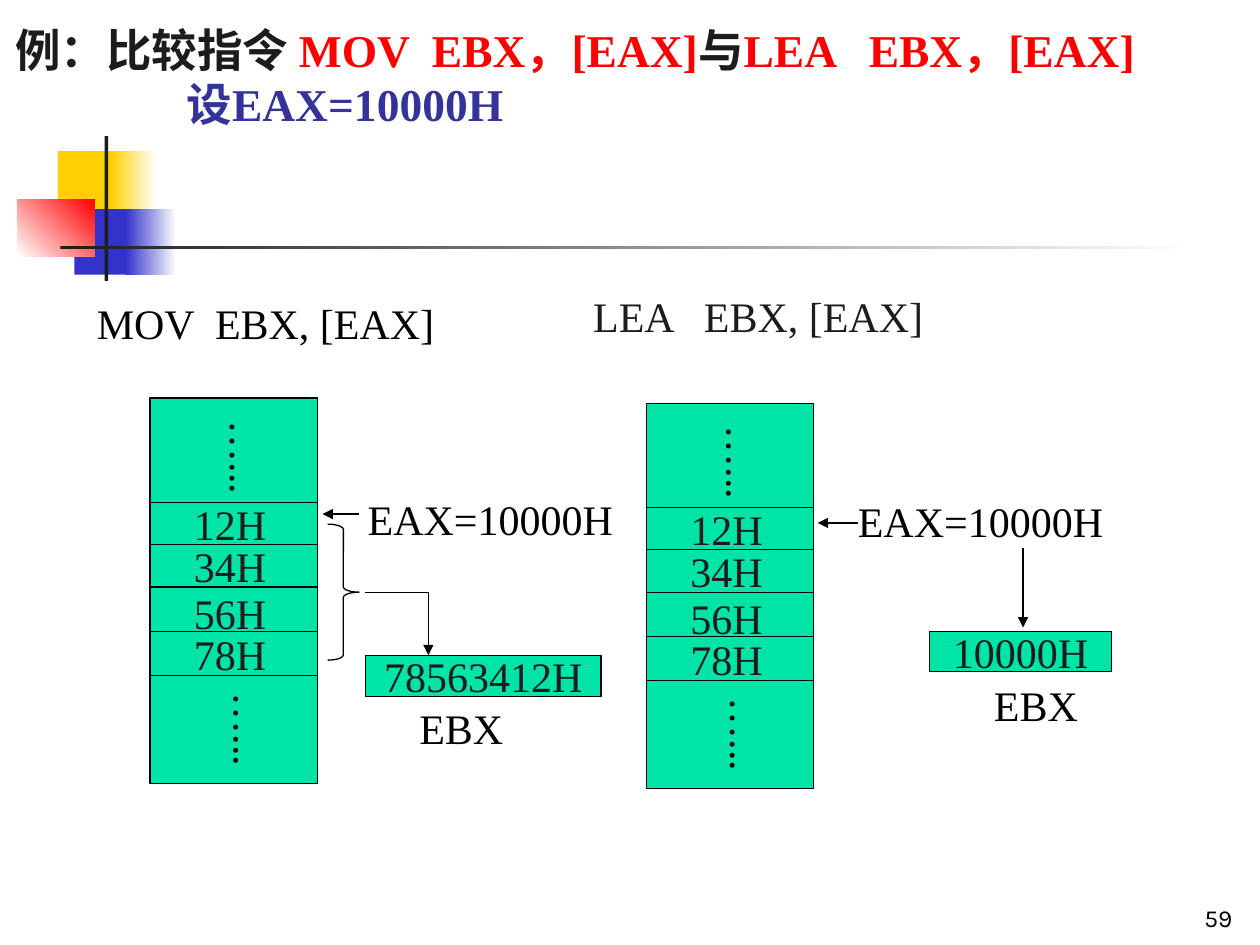
from dataclasses import dataclass

from lxml import etree
from pptx import Presentation
from pptx.dml.color import RGBColor
from pptx.enum.shapes import MSO_CONNECTOR, MSO_SHAPE
from pptx.enum.text import MSO_ANCHOR, MSO_AUTO_SIZE, PP_ALIGN
from pptx.oxml.ns import qn
from pptx.util import Inches, Pt

RECTANGLE = MSO_SHAPE.RECTANGLE
RIGHT_BRACE = MSO_SHAPE.RIGHT_BRACE
STRAIGHT = MSO_CONNECTOR.STRAIGHT
LEFT, CENTER, RIGHT = PP_ALIGN.LEFT, PP_ALIGN.CENTER, PP_ALIGN.RIGHT
MIDDLE, BOTTOM = MSO_ANCHOR.MIDDLE, MSO_ANCHOR.BOTTOM


@dataclass(frozen=True)
class Theme:
    black: RGBColor = RGBColor.from_string("000000")
    white: RGBColor = RGBColor.from_string("FFFFFF")
    ink: RGBColor = RGBColor.from_string("1C1C1C")
    red: RGBColor = RGBColor.from_string("FF0000")
    navy: RGBColor = RGBColor.from_string("333399")
    blue: RGBColor = RGBColor.from_string("3333CC")
    yellow: RGBColor = RGBColor.from_string("FFCF01")
    memory: RGBColor = RGBColor.from_string("00E4A8")
    font: str = "Times New Roman"
    number_font: str = "Karla"
    title_size: Pt = Pt(26)
    body_size: Pt = Pt(24)
    number_size: Pt = Pt(14)
    line_width: Pt = Pt(0.75)


theme = Theme()


def format_run(run, color, size=theme.body_size, font=theme.font, bold=False):
    run.font.name = font
    run.font.size = size
    run.font.bold = bold
    run.font.color.rgb = color


def add_label(text, left, top, width, height, color=theme.black):
    box = slide.shapes.add_textbox(Inches(left), Inches(top), Inches(width), Inches(height))
    box.text_frame.word_wrap = True
    box.text_frame.text = text
    format_run(box.text_frame.paragraphs[0].runs[0], color)
    return box.text_frame


prs = Presentation()
prs.slide_width, prs.slide_height = Inches(10), Inches(7.5)
slide = prs.slides.add_slide(prs.slide_layouts[5])

# Corner ornament: left, top, width, height, first colour, last colour, angle
ornament = [
    (0.46, 1.2, 0.48, 0.52, theme.yellow, None, 0),
    (0.88, 1.2, 0.36, 0.52, theme.yellow, theme.white, 0),
    (0.59, 1.66, 0.46, 0.52, theme.blue, None, 0),
    (1, 1.66, 0.4, 0.52, theme.blue, theme.white, 0),
    (0.14, 1.58, 0.61, 0.46, theme.white, theme.red, 45),
    (0.83, 1.08, 0.03, 1.15, theme.ink, None, 0),
    (0.48, 1.95, 9, 0.03, theme.ink, theme.white, 0),
]
for *place, first_color, last_color, angle in ornament:
    block = slide.shapes.add_shape(RECTANGLE, *map(Inches, place))
    block.shadow.inherit = False
    block.line.fill.background()
    if last_color is None:
        block.fill.solid()
        block.fill.fore_color.rgb = first_color
    else:
        block.fill.gradient()
        block.fill.gradient_angle = angle
        for stop, color in zip(block.fill.gradient_stops, (first_color, last_color)):
            stop.color.rgb = color

# Title
title = slide.shapes.title
title.left, title.top = Inches(0.02), Inches(0.11)
title.width, title.height = Inches(9.96), Inches(0.98)
heading = title.text_frame
heading.auto_size = MSO_AUTO_SIZE.NONE
heading.word_wrap = True
heading.vertical_anchor = BOTTOM
title_lines = [
    [
        ("例：比较指令 ", theme.ink),
        ("MOV  EBX，[EAX]", theme.red),
        ("与", theme.ink),
        ("LEA   EBX，[EAX]", theme.red),
    ],
    [("设EAX=10000H", theme.navy)],
]
for index, pieces in enumerate(title_lines):
    paragraph = heading.add_paragraph() if index else heading.paragraphs[0]
    paragraph.alignment = LEFT
    paragraph.space_before = Pt(0)
    for text, color in pieces:
        run = paragraph.add_run()
        run.text = text
        format_run(run, color, theme.title_size, bold=True)
paragraph._p.get_or_add_pPr().set("marL", str(Inches(1.36)))

# Memory columns and result registers
columns = [(1.19, 3.16), (5.13, 3.2)]
column_width, column_height = 1.33, 3.06
row_lines = [0.83, 1.16, 1.5, 1.85, 2.2]
memory_bytes = [("12H", 0.75), ("34H", 1.08), ("56H", 1.45), ("78H", 1.78)]
filled_boxes = [(left, top, column_width, column_height, "") for left, top in columns]
filled_boxes += [
    (2.9, 5.2, 1.87, 0.33, "78563412H"),
    (7.38, 5.01, 1.44, 0.32, "10000H"),
]
for *place, value in filled_boxes:
    box = slide.shapes.add_shape(RECTANGLE, *map(Inches, place))
    box.shadow.inherit = False
    box.fill.solid()
    box.fill.fore_color.rgb = theme.memory
    box.line.color.rgb = theme.black
    box.line.width = theme.line_width
    if value:
        box.text_frame.word_wrap = False
        box.text_frame.vertical_anchor = MIDDLE
        box.text_frame.text = value
        box.text_frame.paragraphs[0].alignment = CENTER
        format_run(box.text_frame.paragraphs[0].runs[0], theme.ink)

brace = slide.shapes.add_shape(
    RIGHT_BRACE, Inches(2.6), Inches(4.16), Inches(0.25), Inches(1.08)
)
brace.adjustments[0] = 0.167
brace.shadow.inherit = False
brace.fill.background()
brace.line.color.rgb = theme.black
brace.line.width = theme.line_width

# Row dividers and arrows: start x, start y, end x, end y, has arrowhead
lines = [
    (left, top + offset, left + column_width, top + offset, False)
    for left, top in columns
    for offset in row_lines
]
lines += [
    (2.85, 4.08, 2.56, 4.08, True),
    (2.9, 4.7, 3.4, 4.7, False),
    (3.4, 4.7, 3.4, 5.2, True),
    (6.81, 4.15, 6.49, 4.15, True),
    (8.12, 4.35, 8.12, 4.98, True),
]
for *ends, has_arrowhead in lines:
    connector = slide.shapes.add_connector(STRAIGHT, *map(Inches, ends))
    connector.line.color.rgb = theme.black
    connector.line.width = theme.line_width
    if has_arrowhead:
        etree.SubElement(connector.line._get_or_add_ln(), qn("a:tailEnd"), type="triangle")
    etree.SubElement(connector._element.spPr, qn("a:effectLst"))

# Memory contents
for left, top in columns:
    for value, offset in memory_bytes:
        add_label(value, left + 0.25, top + offset, 0.92, 0.5, theme.ink)
    for dx, dy in [(0.41, 0.08), (0.44, 2.24)]:
        dots = add_label("…...", left + dx, top + dy, 0.61, 0.83)
        dots._txBody.bodyPr.set("vert", "eaVert")

# Instruction headings and register names
add_label("MOV  EBX, [EAX]", 0.67, 2.31, 3.39, 0.5)
add_label("LEA   EBX, [EAX]", 4.61, 2.26, 3.7, 0.5, theme.ink)
add_label("EAX=10000H", 2.82, 3.87, 2.16, 0.51)
add_label("EAX=10000H", 6.71, 3.88, 2.38, 0.51)
add_label("EBX", 3.23, 5.53, 1, 0.51)
add_label("EBX", 7.79, 5.34, 0.92, 0.51)

page_number = add_label("59", 7.8, 6.95, 2.08, 0.5)
page_number.vertical_anchor = BOTTOM
page_number.paragraphs[0].alignment = RIGHT
format_run(
    page_number.paragraphs[0].runs[0], theme.black, theme.number_size, theme.number_font
)

prs.save("out.pptx")
